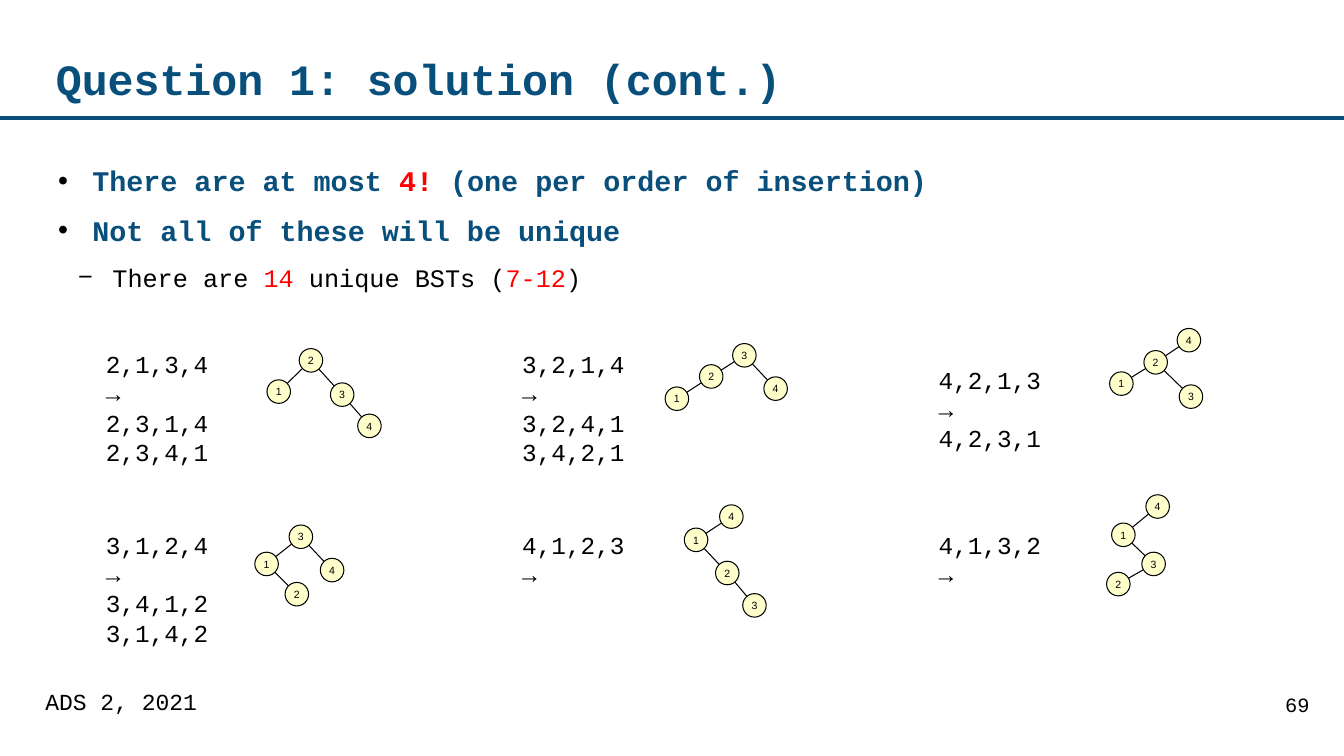
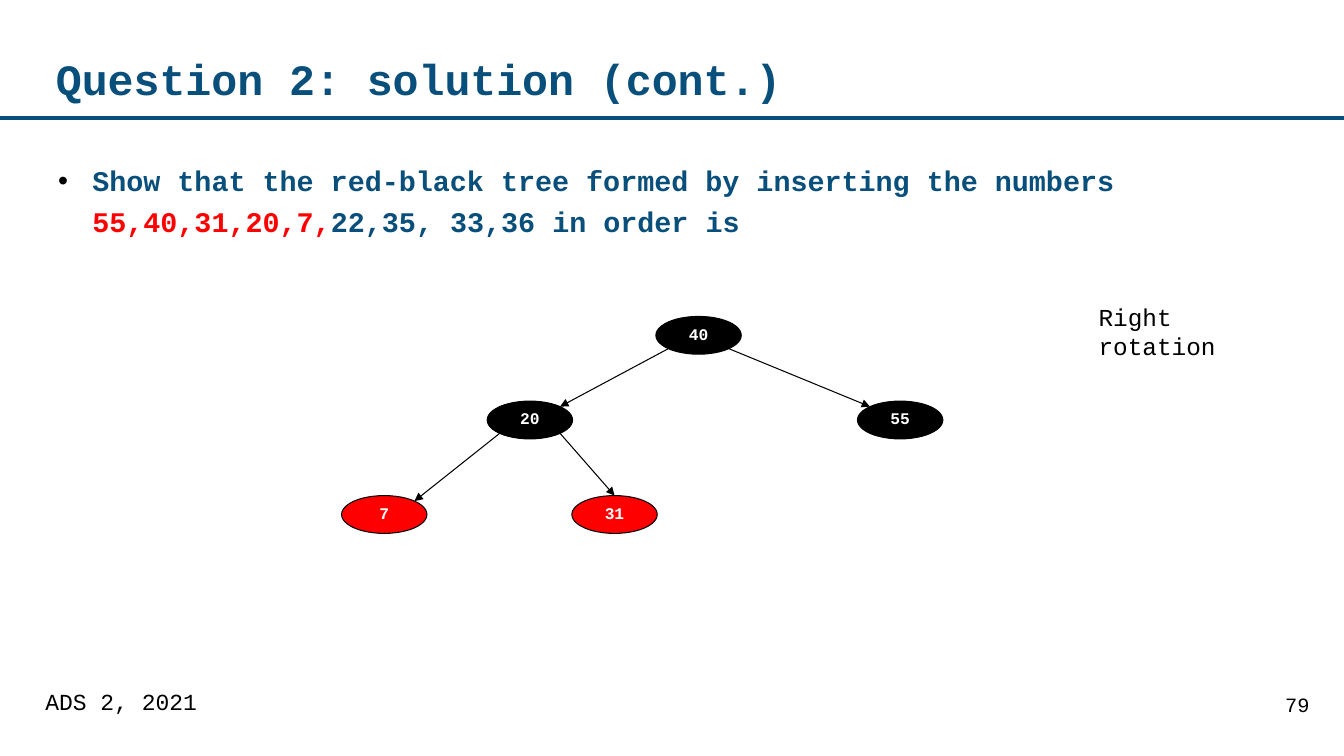
from dataclasses import dataclass
from math import sqrt
from typing import NamedTuple

from lxml.etree import SubElement
from pptx import Presentation
from pptx.dml.color import RGBColor
from pptx.enum.shapes import MSO_CONNECTOR, MSO_SHAPE
from pptx.enum.text import MSO_ANCHOR, PP_ALIGN
from pptx.oxml.ns import qn
from pptx.util import Pt

COLOURS = {
    "heading": "094F7B",
    "text": "000000",
    "accent": "FF0000",
    "small_node": "FFFFCC",
    "white": "FFFFFF",
}
MONO = "Courier New"
SLIDE_WIDTH, SLIDE_HEIGHT = 960, 540
SMALL_NODE_SIZE = 16.8
NODE_WIDTH, NODE_HEIGHT = 61, 27
COLUMNS = [24.5 + 297.4 * column for column in range(3)]
UPPER_ROW, LOWER_ROW = 246, 375


class Box(NamedTuple):
    left: float
    top: float
    width: float
    height: float


class Phrase(NamedTuple):
    text: str
    colour: str


class Bullet(NamedTuple):
    phrases: list[Phrase]
    level: int = 0


@dataclass(frozen=True)
class SearchTree:
    """Insertion orders beside the tree they give; nodes are centres by key."""
    left: float
    top: float
    orders: list[str]
    nodes: dict[str, tuple[float, float]]
    edges: list[str]


class RedBlackNode(NamedTuple):
    key: str
    x: float
    y: float
    fill: str


class Arrow(NamedTuple):
    """Sides are -1 for left, 0 for middle and 1 for right."""
    parent: str
    child: str
    leave_side: int
    enter_side: int


SEARCH_TREES = [
    SearchTree(COLUMNS[0], UPPER_ROW, ["2,1,3,4 →", "2,3,1,4", "2,3,4,1"],
               {"1": (199.1, 279.7), "2": (222.1, 257.4), "3": (244.4, 281.9), "4": (263.9, 304.2)},
               ["21", "23", "34"]),
    SearchTree(COLUMNS[1], UPPER_ROW, ["3,2,1,4 →", "3,2,4,1", "3,4,2,1"],
               {"1": (483.5, 284.8), "2": (508, 268.9), "3": (531.7, 253.8), "4": (554, 277.6)},
               ["32", "21", "34"]),
    SearchTree(COLUMNS[2], UPPER_ROW + 11, ["4,2,1,3 →", "4,2,3,1"],
               {"1": (801, 274), "2": (825.5, 258.8), "3": (850.7, 283.3), "4": (849.2, 243)},
               ["42", "21", "23"]),
    SearchTree(COLUMNS[0], LOWER_ROW, ["3,1,2,4 →", "3,4,1,2", "3,1,4,2"],
               {"1": (190.4, 402.8), "2": (212, 424.4), "3": (214.9, 383.4), "4": (237.2, 407.2)},
               ["31", "12", "34"]),
    SearchTree(COLUMNS[1], LOWER_ROW, ["4,1,2,3 →"],
               {"1": (497.2, 385.6), "2": (519.5, 409.3), "3": (538.9, 432.4), "4": (522.4, 369)},
               ["41", "12", "23"]),
    SearchTree(COLUMNS[2], LOWER_ROW, ["4,1,3,2 →"],
               {"1": (802.4, 382), "2": (798.8, 417.2), "3": (824, 402.8), "4": (826.9, 361.8)},
               ["41", "13", "32"]),
]

RED_BLACK_NODES = [
    RedBlackNode("40", 499, 239.5, "text"),
    RedBlackNode("20", 378.5, 300, "text"),
    RedBlackNode("55", 643, 300, "text"),
    RedBlackNode("7", 274.5, 367.5, "accent"),
    RedBlackNode("31", 439, 367.5, "accent"),
]
RED_BLACK_ARROWS = [
    Arrow("40", "20", -1, 1),
    Arrow("40", "55", 1, -1),
    Arrow("20", "7", -1, 1),
    Arrow("20", "31", 1, 0),
]


def rgb(name: str) -> RGBColor:
    return RGBColor.from_string(COLOURS[name])


def style(paragraph, size: float, colour: str | None = "text", bold: bool = False,
          font_name: str = MONO) -> None:
    font = paragraph.font
    font.name, font.size, font.bold = font_name, Pt(size), bold
    if colour:
        font.color.rgb = rgb(colour)


def set_insets(frame, horizontal: float, vertical: float) -> None:
    frame.margin_left = frame.margin_right = Pt(horizontal)
    frame.margin_top = frame.margin_bottom = Pt(vertical)


def add_frame(slide, box: Box, horizontal: float = 0, vertical: float = 0):
    frame = slide.shapes.add_textbox(*map(Pt, box)).text_frame
    frame.word_wrap = True
    set_insets(frame, horizontal, vertical)
    return frame


def add_text(slide, box: Box, lines: list[str], size: float, insets=(7.2, 3.6),
             spacing: float | None = None, indent: float = 0,
             colour: str = "text", bold: bool = False):
    frame = add_frame(slide, box, *insets)
    for index, line in enumerate(lines):
        paragraph = frame.add_paragraph() if index else frame.paragraphs[0]
        paragraph.text = line
        paragraph.line_spacing = spacing
        if indent:
            paragraph._p.get_or_add_pPr().set("marL", str(Pt(indent)))
        style(paragraph, size, colour, bold)
    return frame


def add_line(shapes, start: tuple[float, float], end: tuple[float, float],
             width: float = 0.75, colour: str = "text", arrow: bool = False) -> None:
    connector = shapes.add_connector(MSO_CONNECTOR.STRAIGHT, *map(Pt, (*start, *end)))
    connector.line.width = Pt(width)
    connector.line.color.rgb = rgb(colour)
    if arrow:
        SubElement(connector.line._get_or_add_ln(), qn("a:tailEnd"), type="triangle")
    SubElement(connector._element.spPr, qn("a:effectLst"))


def add_node(shapes, centre: tuple[float, float], size: tuple[float, float],
             fill: str, key: str):
    """Draw an ellipse with its key and return the key's paragraph."""
    left, top = centre[0] - size[0] / 2, centre[1] - size[1] / 2
    ellipse = shapes.add_shape(MSO_SHAPE.OVAL, *map(Pt, (left, top, *size)))
    ellipse.shadow.inherit = False
    ellipse.fill.solid()
    ellipse.fill.fore_color.rgb = rgb(fill)
    ellipse.line.color.rgb = rgb("text")
    ellipse.line.width = Pt(0.75)
    frame = ellipse.text_frame
    set_insets(frame, 0, 0)
    frame.word_wrap = False
    frame.vertical_anchor = MSO_ANCHOR.MIDDLE
    paragraph = frame.paragraphs[0]
    paragraph.text = key
    paragraph.alignment = PP_ALIGN.CENTER
    return paragraph


def add_bullets(slide, bullets: list[Bullet]) -> None:
    frame = add_frame(slide, Box(40, 112, 880, 368))
    for index, bullet in enumerate(bullets):
        paragraph = frame.add_paragraph() if index else frame.paragraphs[0]
        paragraph.level = bullet.level
        paragraph.line_spacing = 1.2
        paragraph.space_before = Pt(6.2 if index else 0)
        properties = paragraph._p.get_or_add_pPr()
        properties.set("marL", str(Pt(26 + 14.3 * bullet.level)))
        properties.set("indent", str(Pt(-24.5)))
        colour = SubElement(properties, qn("a:buClr"))
        SubElement(colour, qn("a:srgbClr"), val=COLOURS["text"])
        SubElement(properties, qn("a:buFont"), typeface="Arial")
        SubElement(properties, qn("a:buChar"), char="−" if bullet.level else "•")
        style(paragraph, 18 if bullet.level else 20.3, None, not bullet.level)
        for phrase in bullet.phrases:
            run = paragraph.add_run()
            run.text = phrase.text
            run.font.color.rgb = rgb(phrase.colour)


def add_base_slide(presentation, title: str, number: int, bullets: list[Bullet]):
    slide = presentation.slides.add_slide(presentation.slide_layouts[6])
    add_line(slide.shapes, (0, 84.2), (SLIDE_WIDTH, 84.2), 2.75, "heading")
    heading = add_text(slide, Box(40, 24, 820, 62), [title], 30.9, (0, 0), 1.04,
                       colour="heading", bold=True)
    heading.vertical_anchor = MSO_ANCHOR.MIDDLE
    add_bullets(slide, bullets)
    page = add_text(slide, Box(789, 491, 155, 37.5), [str(number)], 14.5, (8.6, 4.3), 0.96)
    page.paragraphs[0].alignment = PP_ALIGN.RIGHT
    add_text(slide, Box(24.5, 491, 607, 37.5), ["ADS 2, 2021"], 16.4, (7.9, 3.6), 0.82)
    return slide


def add_search_tree(slide, tree: SearchTree) -> None:
    height = 7.2 + 21 * len(tree.orders)
    add_text(slide, Box(tree.left, tree.top, 143, height), tree.orders, 17.4, indent=44)
    shapes = slide.shapes.add_group_shape().shapes
    for parent, child in tree.edges:
        add_line(shapes, tree.nodes[parent], tree.nodes[child])
    for key, centre in tree.nodes.items():
        label = add_node(shapes, centre, (SMALL_NODE_SIZE, SMALL_NODE_SIZE), "small_node", key)
        style(label, 7.5, font_name="Arial")


def rim_point(node: RedBlackNode, side: int, down: int) -> tuple[float, float]:
    """Point on the node's rim: its middle or a diagonal, above (-1) or below (1)."""
    reach = sqrt(0.5) if side else 1
    return (node.x + side * reach * NODE_WIDTH / 2, node.y + down * reach * NODE_HEIGHT / 2)


def add_red_black_tree(slide) -> None:
    nodes = {node.key: node for node in RED_BLACK_NODES}
    for node in RED_BLACK_NODES:
        label = add_node(slide.shapes, (node.x, node.y), (NODE_WIDTH, NODE_HEIGHT),
                         node.fill, node.key)
        label.line_spacing = 0.82
        style(label, 11.6, "white", True)
    for arrow in RED_BLACK_ARROWS:
        add_line(slide.shapes, rim_point(nodes[arrow.parent], arrow.leave_side, 1),
                 rim_point(nodes[arrow.child], arrow.enter_side, -1), arrow=True)


def main() -> None:
    presentation = Presentation()
    presentation.slide_width, presentation.slide_height = Pt(SLIDE_WIDTH), Pt(SLIDE_HEIGHT)

    slide = add_base_slide(presentation, "Question 1: solution (cont.)", 69, [
        Bullet([Phrase("There are at most ", "heading"), Phrase("4! ", "accent"),
                Phrase("(one per order of insertion)", "heading")]),
        Bullet([Phrase("Not all of these will be unique", "heading")]),
        Bullet([Phrase("There are ", "text"), Phrase("14", "accent"),
                Phrase(" unique BSTs (", "text"), Phrase("7-12", "accent"),
                Phrase(")", "text")], 1),
    ])
    for tree in SEARCH_TREES:
        add_search_tree(slide, tree)

    slide = add_base_slide(presentation, "Question 2: solution (cont.)", 79, [
        Bullet([Phrase("Show that the red-black tree formed by inserting the numbers ", "heading"),
                Phrase("55,40,31,20,7,", "accent"),
                Phrase("22,35, 33,36 in order is", "heading")]),
    ])
    add_red_black_tree(slide)
    add_text(slide, Box(777.6, 212.4, 142.5, 49), ["Right rotation"], 17.4)

    presentation.save("out.pptx")


if __name__ == "__main__":
    main()
